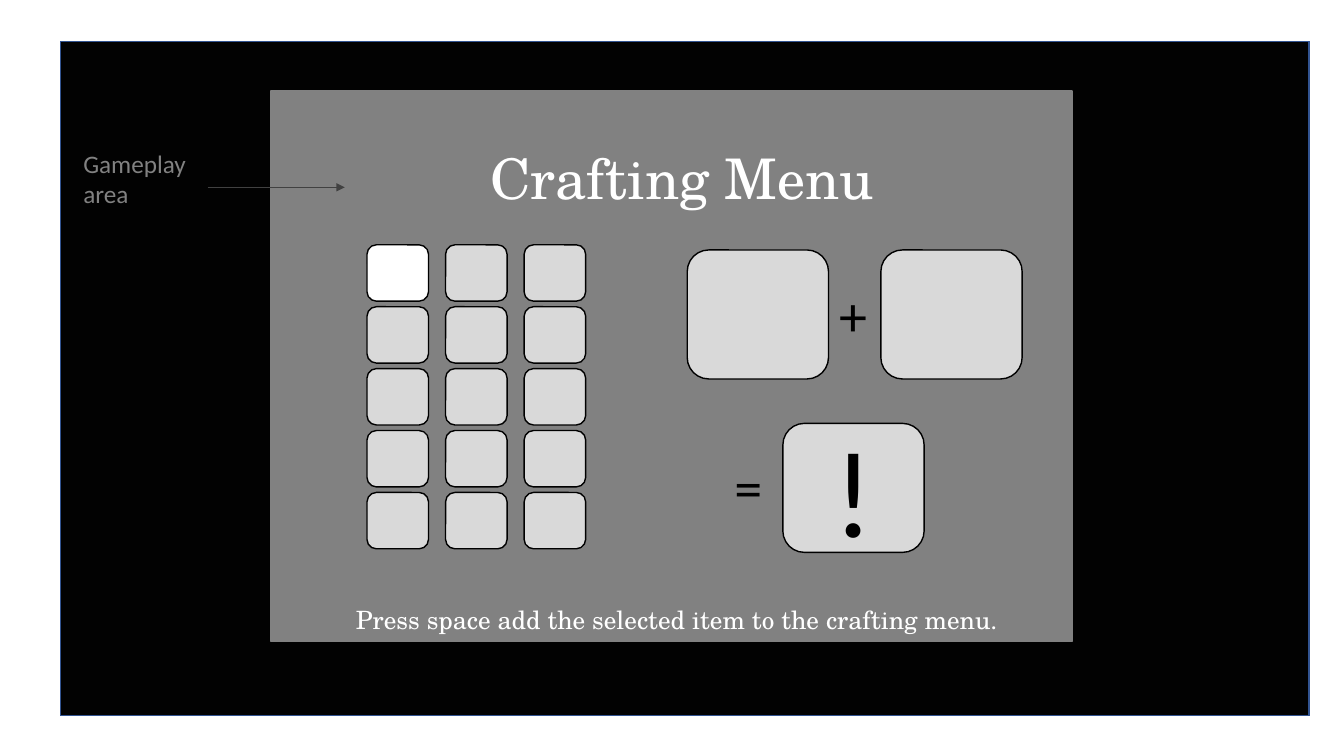
import lxml.etree
import pptx
import pptx.dml.color
import pptx.enum.shapes
import pptx.enum.text
import pptx.oxml.ns
import pptx.util
from pptx.util import Cm

COLORS = {
    "black": "000000",
    "white": "FFFFFF",
    "slot": "D9D9D9",
    "arrow": "808080",
    "dim": "040404",
    "frame": "325491",
}
SANS, SERIF = "Calibri", "TeX Gyre Schola"
LEFT, CENTER = pptx.enum.text.PP_ALIGN.LEFT, pptx.enum.text.PP_ALIGN.CENTER
RECT = pptx.enum.shapes.MSO_SHAPE.RECTANGLE
ROUNDED = pptx.enum.shapes.MSO_SHAPE.ROUNDED_RECTANGLE


def rgb(name):
    return pptx.dml.color.RGBColor.from_string(COLORS[name])


def add_xml(parent, tag, **attributes):
    return lxml.etree.SubElement(parent, pptx.oxml.ns.qn(tag), attributes)


def add_panel(slide, kind, left, top, width, height, fill, line, alpha=None):
    panel = slide.shapes.add_shape(kind, Cm(left), Cm(top), Cm(width), Cm(height))
    panel.shadow.inherit = False
    panel.fill.solid()
    panel.fill.fore_color.rgb = rgb(fill)
    panel.line.color.rgb = rgb(line)
    panel.line.width = pptx.util.Pt(1)
    if alpha is not None:
        color = panel.fill._xPr.find(".//" + pptx.oxml.ns.qn("a:srgbClr"))
        add_xml(color, "a:alpha", val=str(alpha * 1000))
    return panel


def write(frame, text, size, font=SANS, color="black", align=LEFT):
    frame.word_wrap = True
    paragraph = frame.paragraphs[0]
    paragraph.alignment = align
    run = paragraph.add_run()
    run.text = text
    run.font.size = pptx.util.Pt(size)
    run.font.name = font
    run.font.color.rgb = rgb(color)


def add_label(slide, left, top, width, height, text, size, **style):
    label = slide.shapes.add_textbox(Cm(left), Cm(top), Cm(width), Cm(height))
    write(label.text_frame, text, size, **style)


def add_arrow(slide, left, right, y):
    arrow = slide.shapes.add_connector(
        pptx.enum.shapes.MSO_CONNECTOR.STRAIGHT, Cm(left), Cm(y), Cm(right), Cm(y))
    arrow.line.color.rgb = rgb("arrow")
    arrow.line.width = pptx.util.Pt(0.5)
    add_xml(arrow.line._get_or_add_ln(), "a:tailEnd", type="triangle")
    add_xml(arrow._element.spPr, "a:effectLst")


def draw_dimmed_game(slide, screen, area):
    """Game screen with its play area, under a half-transparent overlay."""
    left, top = screen[:2]
    add_panel(slide, RECT, *screen, "black", "frame")
    add_panel(slide, RECT, *area, "white", "white")
    add_label(slide, left + 0.33, top + 2.57, 3.81, 1.8, "Gameplay area", 18,
              color="white")
    add_arrow(slide, left + 3.71, left + 7.17, top + 3.68)
    add_panel(slide, RECT, *screen, "dim", "frame", alpha=50)


def draw_inventory(slide, left, top, columns=3, rows=5):
    """Grid of item slots, the first one selected."""
    for row in range(rows):
        for column in range(columns):
            fill = "white" if row == column == 0 else "slot"
            add_panel(slide, ROUNDED, left + column * 1.98, top + row * 1.56,
                      1.55, 1.42, fill, "black")


def draw_recipe(slide, left, top):
    """Two ingredient slots and the slot of the crafted item."""
    slots = [add_panel(slide, ROUNDED, left + dx, top + dy, 3.56, 3.25, "slot", "black")
             for dx, dy in ((0, 0), (4.88, 0), (2.41, 4.37))]
    result = slots[-1].text_frame
    result.vertical_anchor = pptx.enum.text.MSO_ANCHOR.MIDDLE
    write(result, "!", 88, align=CENTER)
    for sign, dx, dy in (("+", 3.58, 0.64), ("=", 0.94, 4.98)):
        add_label(slide, left + dx, top + dy, 1.3, 1.96, sign, 40)


def draw_crafting_menu(slide, area):
    """Title, inventory, recipe and key hint, placed inside the play area."""
    left, top = area[:2]
    heading = {"font": SERIF, "color": "white", "align": CENTER}
    add_label(slide, left + 4.93, top + 1.19, 10.87, 1.96, "Crafting Menu", 40, **heading)
    draw_inventory(slide, left + 2.42, top + 3.88)
    draw_recipe(slide, left + 10.49, top + 4.01)
    add_label(slide, left + 0.49, top + 12.82, 19.48, 1.02,
              "Press space add the selected item to the crafting menu.", 18, **heading)


def main():
    presentation = pptx.Presentation()
    presentation.slide_width, presentation.slide_height = Cm(33.87), Cm(19.05)
    slide = presentation.slides.add_slide(presentation.slide_layouts[6])
    screen = (1.52, 1.04, 31.47, 16.99)
    area = (6.83, 2.29, 20.19, 13.87)
    draw_dimmed_game(slide, screen, area)
    draw_crafting_menu(slide, area)
    presentation.save("out.pptx")


if __name__ == "__main__":
    main()
